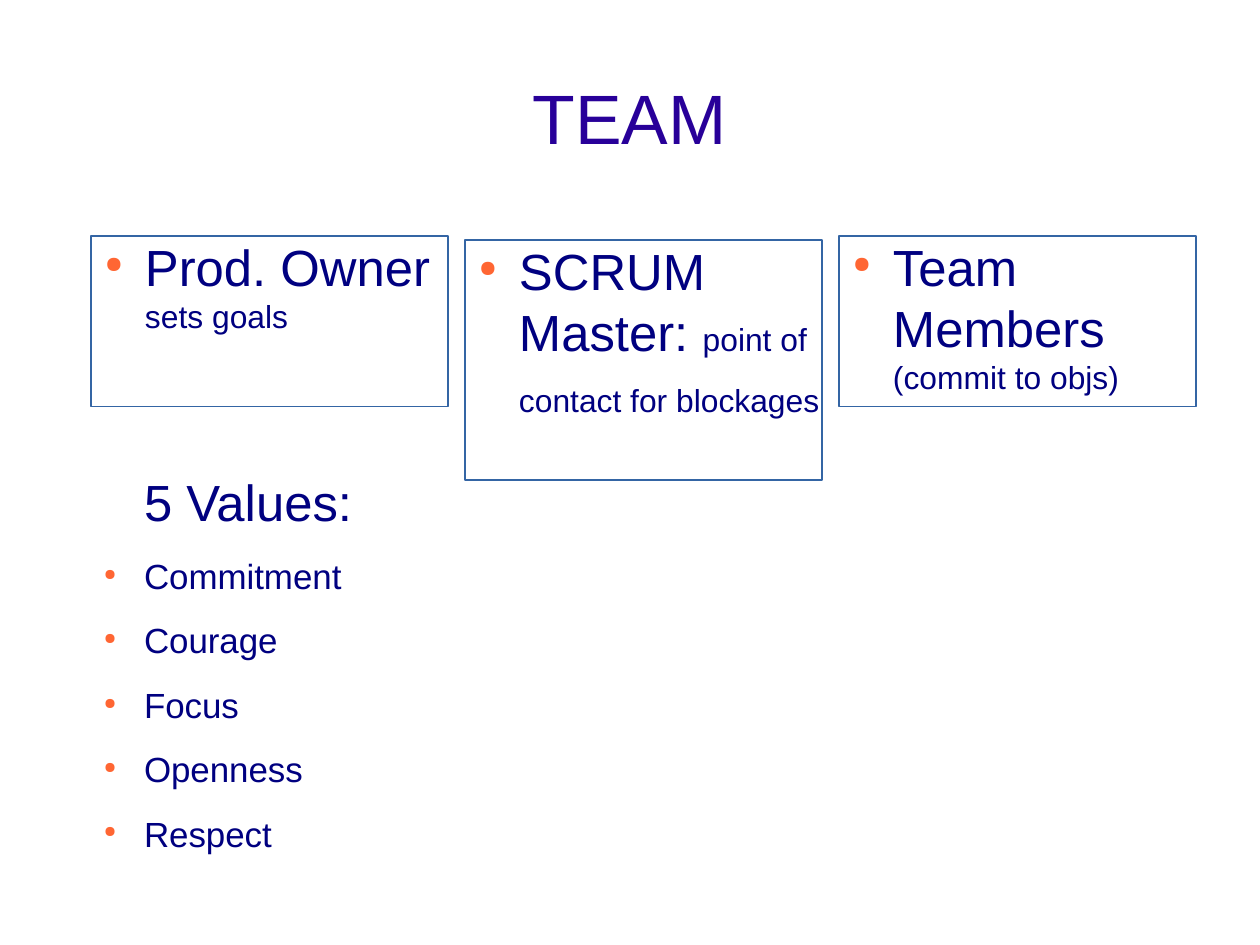
from lxml import etree
from pptx import Presentation
from pptx.dml.color import RGBColor
from pptx.enum.shapes import MSO_SHAPE
from pptx.enum.text import MSO_ANCHOR, PP_ALIGN
from pptx.oxml.ns import qn
from pptx.util import Pt

PX = 8000
RECT = MSO_SHAPE.RECTANGLE
TOP, MIDDLE = MSO_ANCHOR.TOP, MSO_ANCHOR.MIDDLE
LEFT, CENTER = PP_ALIGN.LEFT, PP_ALIGN.CENTER

FONT = "Arial"
NAVY, VIOLET, ORANGE, BLUE = "000080", "280099", "FF6633", "3465A4"
INDENT, HANGING = 54, 40

ROLES = [
    (236, 171, "Prod. Owner ", "sets goals", ""),
    (240, 240, "SCRUM Master: ", "point of contact for blockages", " "),
    (236, 171, "Team Members ", "(commit to objs)", ""),
]
VALUES = ["Commitment", "Courage", "Focus", "Openness", "Respect"]


def rgb(value):
    return RGBColor.from_string(value)


def add_run(p, text, size=32, color=NAVY):
    r = p.add_run()
    r.text = text
    r.font.name = FONT
    r.font.size = Pt(size)
    r.font.color.rgb = rgb(color)


def add_bullet(p_pr):
    color = etree.SubElement(p_pr, qn("a:buClr"))
    etree.SubElement(color, qn("a:srgbClr"), val=ORANGE)
    etree.SubElement(p_pr, qn("a:buSzPct"), val="45000")
    etree.SubElement(p_pr, qn("a:buChar"), char="●")


class TeamSlide:
    """Draws titles, boxes and lists on one slide in a shared style."""

    def __init__(self, prs):
        self.s = prs.slides.add_slide(prs.slide_layouts[6])

    def frame(self, sp, anchor=TOP):
        tf = sp.text_frame
        tf.word_wrap = True
        tf.vertical_anchor = anchor
        tf.margin_left = tf.margin_right = tf.margin_top = tf.margin_bottom = 0
        return tf

    def text_box(self, x, y, w, h, anchor=TOP):
        sp = self.s.shapes.add_textbox(x * PX, y * PX, w * PX, h * PX)
        return self.frame(sp, anchor)

    def outlined_box(self, x, y, w, h):
        sp = self.s.shapes.add_shape(RECT, x * PX, y * PX, w * PX, h * PX)
        sp.shadow.inherit = False
        sp.fill.background()
        sp.line.color.rgb = rgb(BLUE)
        sp.line.width = 0
        return self.frame(sp)

    def item(self, p, runs, bullet=True):
        p.alignment = LEFT
        p.space_after = Pt(14.2)
        p_pr = p._p.get_or_add_pPr()
        p_pr.set("marL", str(INDENT * PX))
        p_pr.set("indent", str(-HANGING * PX if bullet else 0))
        if bullet:
            add_bullet(p_pr)
        for text, size in runs:
            add_run(p, text, size=size)

    def title(self, text):
        p = self.text_box(63, 38, 1134, 158, anchor=MIDDLE).paragraphs[0]
        p.alignment = CENTER
        add_run(p, text, size=44, color=VIOLET)

    def role(self, column, y, h, name, duty, tail):
        tf = self.outlined_box(91 + 374 * column, y, 357, h)
        runs = [(name, 32), (duty, 20), (tail, 32)]
        self.item(tf.paragraphs[0], [run for run in runs if run[0]])

    def value_list(self, heading, values):
        tf = self.text_box(90, 471, 561, 443)
        self.item(tf.paragraphs[0], [(heading, 32)], bullet=False)
        for value in values:
            self.item(tf.add_paragraph(), [(value, 22)])


def main():
    prs = Presentation()
    prs.slide_width, prs.slide_height = 1260 * PX, 945 * PX
    slide = TeamSlide(prs)
    slide.title("TEAM")
    for column, role in enumerate(ROLES):
        slide.role(column, *role)
    slide.value_list("5 Values:", VALUES)
    prs.save("out.pptx")


if __name__ == "__main__":
    main()
